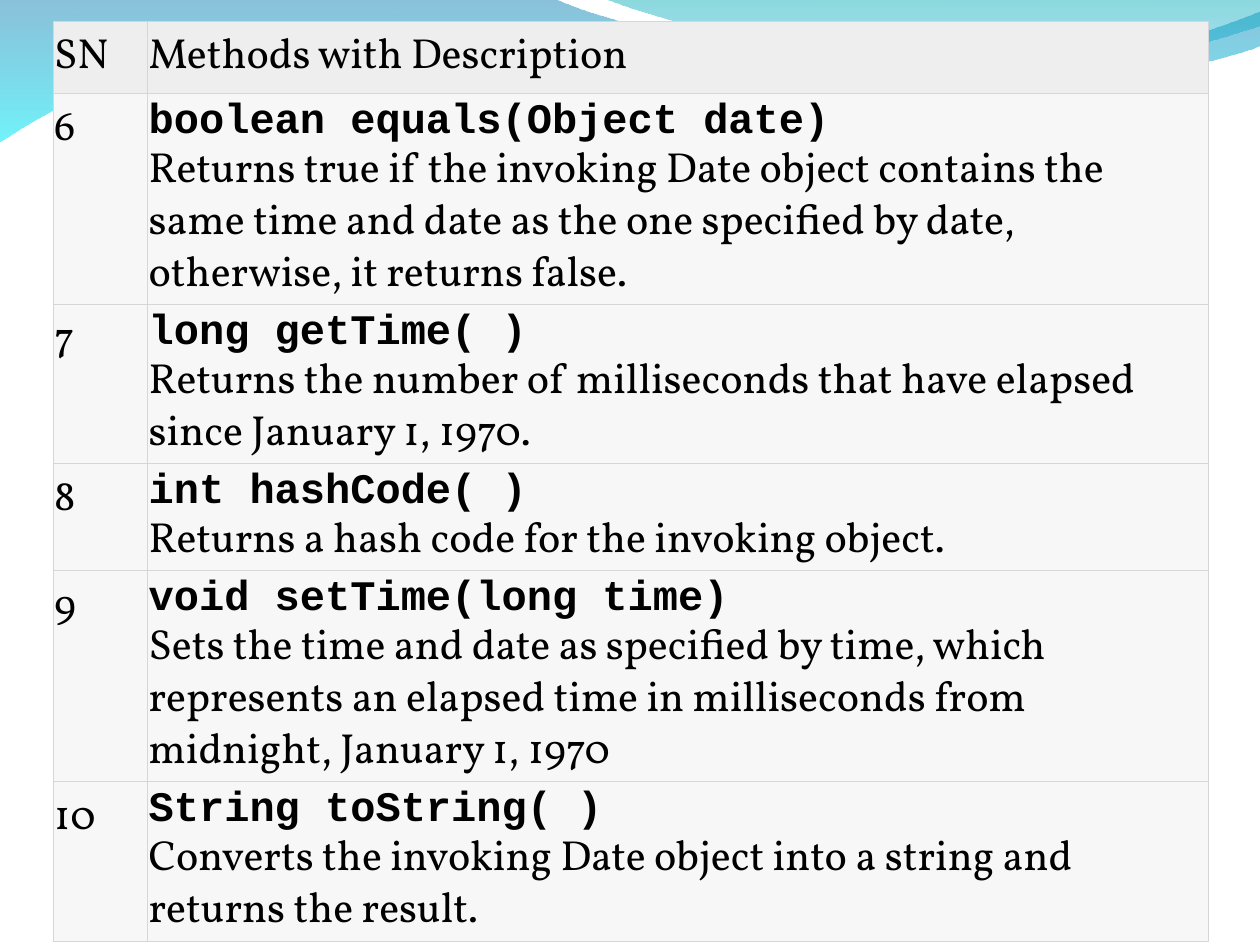
from copy import deepcopy

from lxml import etree
from pptx import Presentation
from pptx.dml.color import RGBColor
from pptx.oxml.ns import qn
from pptx.util import Inches, Pt

BLACK = RGBColor(0x00, 0x00, 0x00)
HEADER_FILL = RGBColor(0xEE, 0xEE, 0xEE)
BODY_FILL = RGBColor(0xF7, 0xF7, 0xF7)
BORDER = RGBColor(0xD6, 0xD6, 0xD6)
BLUE = RGBColor(0x00, 0x79, 0xAF)
CYAN = RGBColor(0x00, 0xEB, 0xF8)
TEAL = RGBColor(0x00, 0xAD, 0xB6)
SKY = RGBColor(0x00, 0x9B, 0xE5)

TEXT_FONT = "Vollkorn"
CODE_FONT = "Courier New"

# Each segment lists one point for a line, or two controls and an end
# for a Bezier curve; the first entry is the start
LEFT_WAVE = [
    [(0, -0.01)],
    [(4.4, -0.01)],
    [(4.76, 0.17), (6.64, 0.63), (7.58, 0.63)],
    [(8.53, 0.63), (9.58, 0.26), (10, 0.09)],
    [(10.01, 0.36)],
    [(9.83, 0.44), (8.7, 0.76), (7.46, 0.75)],
    [(6.22, 0.75), (3.82, 0.28), (2.57, 0.34)],
    [(1.29, 0.35), (0.46, 0.83), (-0.01, 1.13)],
    [(0, -0.01)],
]
RIGHT_WAVE = [
    [(4.79, -0.01)],
    [(5.09, 0.11), (6.82, 0.62), (7.69, 0.65)],
    [(8.56, 0.69), (9.61, 0.32), (10, 0.21)],
    [(10, 0)],
    [(4.79, -0.01)],
]

COLUMN_WIDTHS = [0.75, 8.42]
ROW_HEIGHTS = [0.49, 1.61, 1.21, 0.8, 1.61, 1.21]
HEADER = ("SN", "Methods with Description")
FIRST_NUMBER = 6
METHODS = [
    ("boolean equals(Object date)",
     "Returns true if the invoking Date object contains the same time and "
     "date as the one specified by date, otherwise, it returns false."),
    ("long getTime( )",
     "Returns the number of milliseconds that have elapsed since "
     "January 1, 1970."),
    ("int hashCode( )",
     "Returns a hash code for the invoking object."),
    ("void setTime(long time)",
     "Sets the time and date as specified by time, which represents an "
     "elapsed time in milliseconds from midnight, January 1, 1970"),
    ("String toString( )",
     "Converts the invoking Date object into a string and returns the "
     "result."),
]


def bend_segments(shape, segments):
    """Turn the three lines drawn for each curve into one Bezier segment."""
    lines = iter(list(shape.element.iter(qn("a:lnTo"))))
    for segment in segments:
        first, *others = [next(lines) for _ in segment]
        if others:
            first.tag = qn("a:cubicBezTo")
        for line in others:
            first.append(line[0])
            line.getparent().remove(line)


def add_wave(slide, outline, stops):
    """Draw a wave; stops holds (colour, opacity percent), top to bottom."""
    start, *corners = [(Inches(x), Inches(y))
                       for segment in outline for x, y in segment]
    builder = slide.shapes.build_freeform(*start)
    builder.add_line_segments(corners, close=True)
    wave = builder.convert_to_shape()
    bend_segments(wave, outline[1:])
    wave.shadow.inherit = False
    wave.line.fill.background()
    wave.fill.gradient()
    wave.fill.gradient_angle = 270
    for stop, (color, _) in zip(wave.fill.gradient_stops, stops):
        stop.color.rgb = color
    colors = wave.element.spPr.iter(qn("a:srgbClr"))
    for color_element, (_, opacity) in zip(list(colors), stops):
        etree.SubElement(color_element, qn("a:alpha"), val=str(opacity * 1000))


def set_borders(cell):
    properties = cell._tc.get_or_add_tcPr()
    for index, side in enumerate(("lnL", "lnR", "lnT", "lnB")):
        line = etree.Element(qn(f"a:{side}"), w=str(Pt(0.34)))
        fill = etree.SubElement(line, qn("a:solidFill"))
        etree.SubElement(fill, qn("a:srgbClr"), val=str(BORDER))
        properties.insert(index, line)


def fill_cell(cell, text, color, line_spacing=1.02):
    cell.fill.solid()
    cell.fill.fore_color.rgb = color
    set_borders(cell)
    cell.margin_left = cell.margin_right = Inches(0.01)
    cell.margin_top = cell.margin_bottom = Inches(0.05)
    paragraph = cell.text_frame.paragraphs[0]
    paragraph.text = text
    paragraph.line_spacing = line_spacing
    for run in paragraph.runs:
        run.font.name = TEXT_FONT
        run.font.size = Pt(24)
        run.font.bold = False
        run.font.color.rgb = BLACK
    return paragraph


def fill_method_cell(cell, signature, description):
    paragraph = fill_cell(cell, f"{signature}\v{description}", BODY_FILL, 0.89)
    signature_run = paragraph.runs[0]
    signature_run.font.name = CODE_FONT
    signature_run.font.bold = True
    # The line break takes the signature's format
    line_break = paragraph._p.find(qn("a:br"))
    line_break.append(deepcopy(signature_run._r.find(qn("a:rPr"))))


def add_methods_table(slide):
    table = slide.shapes.add_table(
        len(ROW_HEIGHTS), len(COLUMN_WIDTHS), Inches(0.42), Inches(0.17),
        Inches(sum(COLUMN_WIDTHS)), Inches(sum(ROW_HEIGHTS))).table
    for column, width in zip(table.columns, COLUMN_WIDTHS):
        column.width = Inches(width)
    for row, height in zip(table.rows, ROW_HEIGHTS):
        row.height = Inches(height)
    for column, title in enumerate(HEADER):
        fill_cell(table.cell(0, column), title, HEADER_FILL)
    for row, method in enumerate(METHODS, start=1):
        number = str(FIRST_NUMBER + row - 1)
        fill_cell(table.cell(row, 0), number, BODY_FILL)
        fill_method_cell(table.cell(row, 1), *method)


def main():
    presentation = Presentation()
    presentation.slide_width = Inches(10)
    presentation.slide_height = Inches(7.5)
    slide = presentation.slides.add_slide(presentation.slide_layouts[6])

    # Waves along the top edge
    add_wave(slide, LEFT_WAVE, [(BLUE, 46), (CYAN, 56)])
    add_wave(slide, RIGHT_WAVE, [(TEAL, 46), (SKY, 31)])

    # Methods of the Date class
    add_methods_table(slide)

    presentation.save("out.pptx")


if __name__ == "__main__":
    main()
